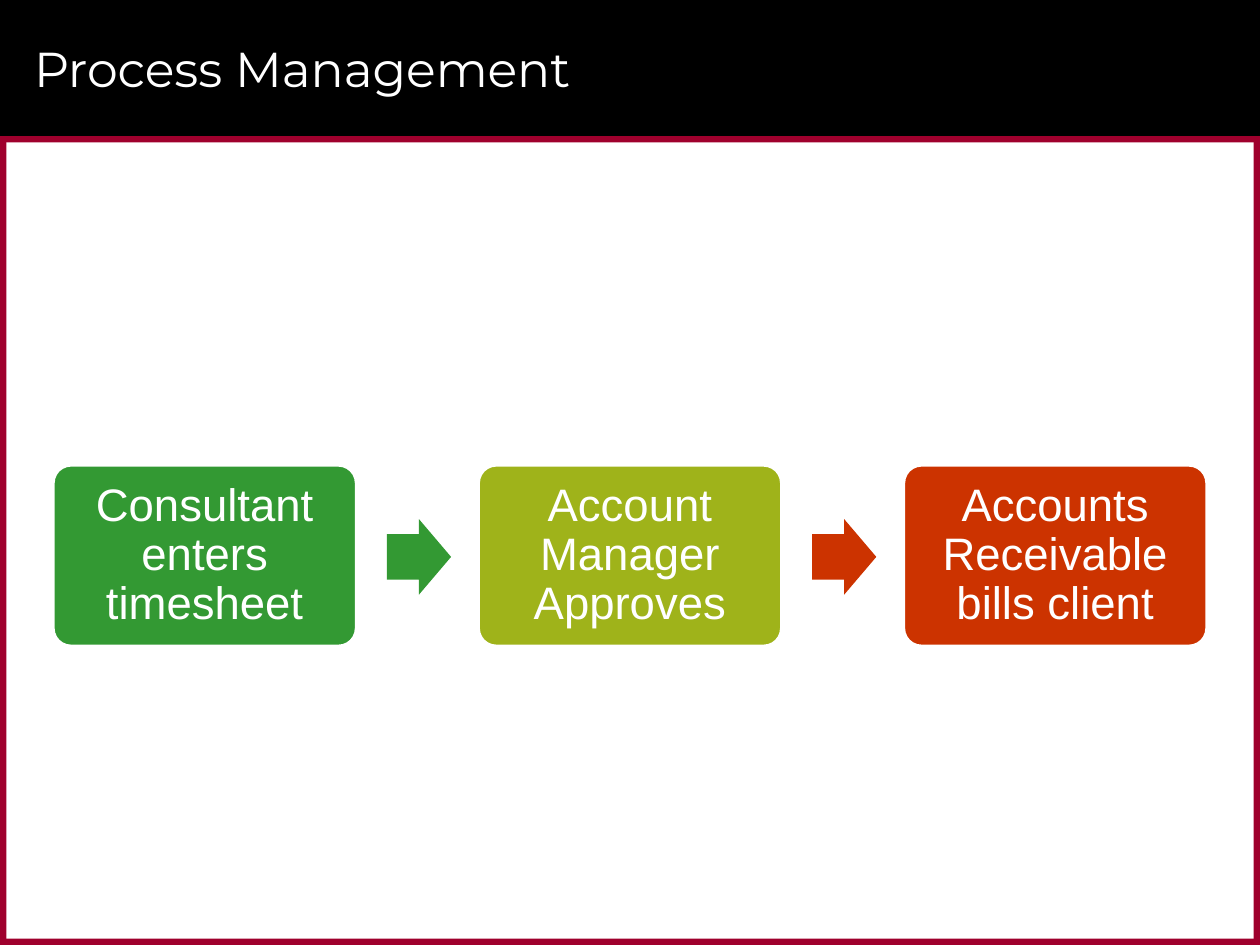
"""Build the Process Management slide: a three-step timesheet flow."""
from dataclasses import dataclass

from pptx import Presentation
from pptx.dml.color import RGBColor
from pptx.enum import shapes, text
from pptx.util import Inches, Pt


@dataclass(frozen=True)
class Theme:
    black: str = "000000"
    white: str = "FFFFFF"
    crimson: str = "9F002D"
    green: str = "339933"
    olive: str = "9FB31A"
    red: str = "CC3300"
    title_size: int = 28
    step_size: int = 26
    title_font: str = "Montserrat"
    step_font: str = "Arial"


theme = Theme()
SHAPE = shapes.MSO_SHAPE


def write(frame, wording, *, size, font, align, inset, spacing=1.0):
    frame.word_wrap = True
    frame.auto_size = text.MSO_AUTO_SIZE.NONE
    frame.vertical_anchor = text.MSO_ANCHOR.MIDDLE
    frame.margin_left = frame.margin_right = Inches(inset)
    frame.margin_top = frame.margin_bottom = Inches(0.05)
    paragraph = frame.paragraphs[0]
    paragraph.text = wording
    paragraph.alignment = align
    paragraph.line_spacing = spacing
    paragraph.font.size = Pt(size)
    paragraph.font.name = font
    paragraph.font.color.rgb = RGBColor.from_string(theme.white)


def draw(kind, left, top, width, height, color, outline=None):
    shape = slide.shapes.add_shape(
        kind, Inches(left), Inches(top), Inches(width), Inches(height))
    shape.shadow.inherit = False
    shape.fill.solid()
    shape.fill.fore_color.rgb = RGBColor.from_string(color)
    if outline:
        shape.line.color.rgb = RGBColor.from_string(outline)
        shape.line.width = Pt(2)
    else:
        shape.line.fill.background()
    return shape


deck = Presentation()
deck.slide_width, deck.slide_height = Inches(10), Inches(7.5)
slide = deck.slides.add_slide(deck.slide_layouts[5])

header_height, border = 1.08, 0.05
body_height = 7.5 - header_height
draw(SHAPE.RECTANGLE, 0, 0, 10, header_height, theme.black)
for left, top, width, height in (
    (0, header_height, 10, border),
    (0, 7.5 - border, 10, border),
    (10 - border, header_height, border, body_height),
    (0, header_height, border, body_height),
):
    draw(SHAPE.RECTANGLE, left, top, width, height, theme.crimson)

title = slide.shapes.title
title.left, title.top = Inches(0.17), Inches(0.08)
title.width, title.height = Inches(9.42), Inches(0.92)
write(title.text_frame, "Process Management", size=theme.title_size,
      font=theme.title_font, align=text.PP_ALIGN.LEFT, inset=0.1)
title.element.getparent().append(title.element)

steps = (
    ("Consultant enters timesheet", theme.green, theme.green),
    ("Account Manager Approves", theme.olive, theme.red),
    ("Accounts Receivable bills client", theme.red, None),
)
first_left, pitch, arrow_offset = 0.42, 3.375, 2.65
for index, (wording, step_color, arrow_color) in enumerate(steps):
    left = first_left + index * pitch
    step = draw(SHAPE.ROUNDED_RECTANGLE, left, 3.69, 2.41, 1.44,
                step_color, theme.white)
    step.adjustments[0] = 0.1
    write(step.text_frame, wording, size=theme.step_size,
          font=theme.step_font, align=text.PP_ALIGN.CENTER,
          inset=0.07, spacing=0.9)
    if arrow_color:
        arrow = draw(SHAPE.RIGHT_ARROW, left + arrow_offset, 4.12, 0.51, 0.6,
                     arrow_color)
        arrow.adjustments[0] = 0.6
        arrow.adjustments[1] = 0.5

deck.save("out.pptx")
